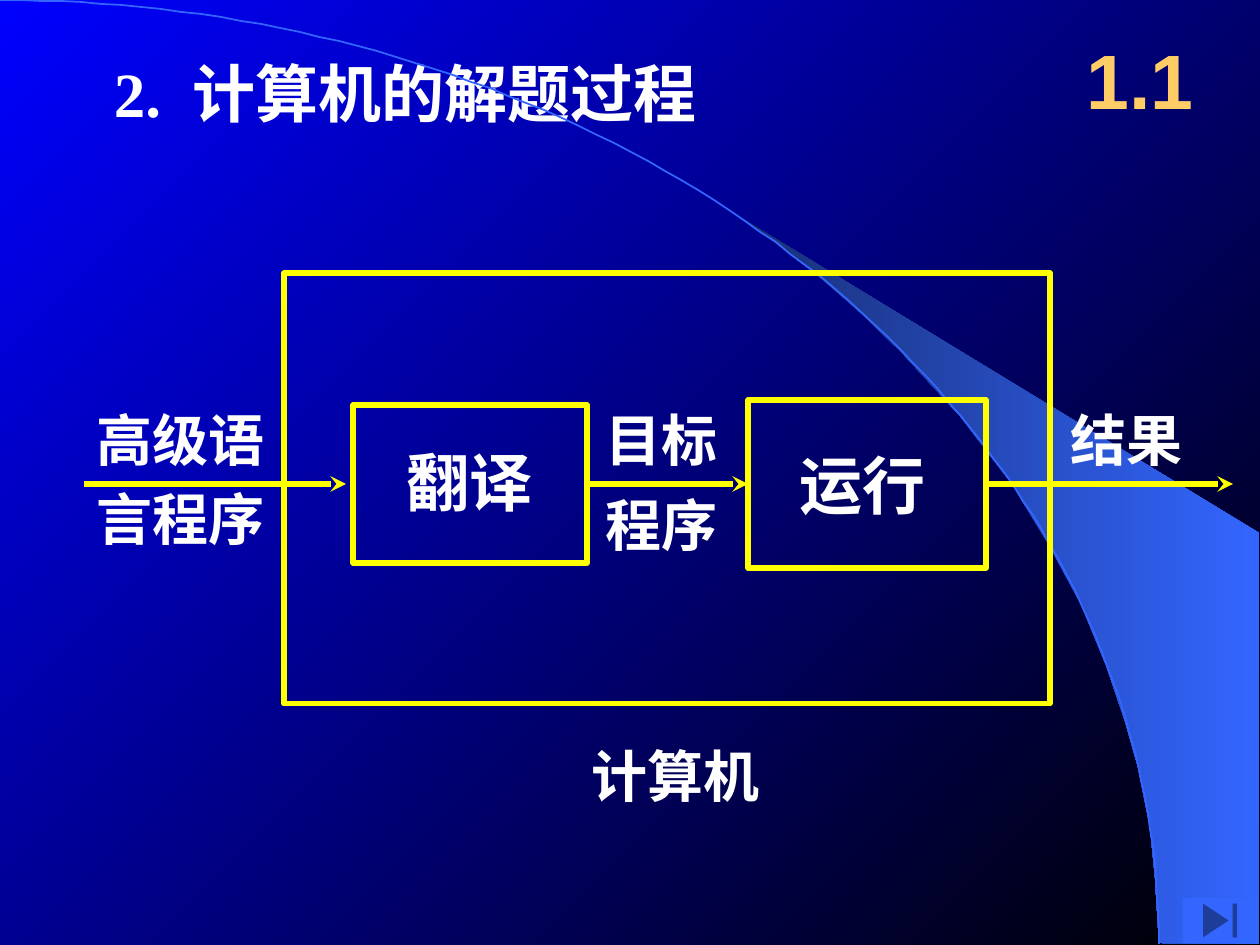
import math
import pptx
import pptx.dml.color
import pptx.enum.shapes
import pptx.enum.text
import pptx.oxml.ns
import pptx.util
from lxml import etree

# Content: all lengths in px
PX_PER_INCH = 126
SLIDE = (1260, 945)
THEME = {
    "cjk": "Noto Sans CJK SC", "serif": "Times New Roman", "sans": "Arial",
    "text": "FFFFFF", "number": "FFCC66", "line": "FFFF00", "accent": "3366FF",
    "bg": ("0000FF", "000000"), "band": ("182F76", "3366FF"),
    "label_pt": 32, "box_pt": 36, "title_pt": 36, "number_pt": 44,
    "line_pt": 3, "arc_pt": 1,
}
TITLE = ("2.", " ", "计算机的解题过程")
TITLE_BOX = (114, 54, 776, 75)
NUMBER = ("1.1", (1061, 21, 158, 116))
BOXES = {  # name: left, top, width, height
    "computer": (284, 273, 766, 431),
    "translate": (353, 405, 234, 158),
    "run": (748, 400, 238, 168),
}
LABELS = [  # text, left, top, size key
    ("计算机", 591, 741, "label_pt"),
    ("高级语", 97, 406, "label_pt"),
    ("言程序", 97, 484, "label_pt"),
    ("目标", 606, 406, "label_pt"),
    ("程序", 606, 490, "label_pt"),
    ("结果", 1071, 406, "label_pt"),
    ("翻译", 407, 444, "box_pt"),
    ("运行", 800, 447, "box_pt"),
]
FLOW_Y = 484
ARROWS = [  # from x, to x, box at start, box at end
    (84, 346, None, None),
    (587, 748, "translate", "run"),
    (986, 1233, "run", None),
]
ARC = (1159, 944)  # radii of the quarter ellipse
BAND = [(1159, 943), (1259, 944), (1259, 533), (742, 218), (786, 251),
        (823, 280), (863, 315), (902, 353), (960, 416), (1012, 484),
        (1048, 543), (1081, 604), (1106, 665), (1125, 721), (1138, 767),
        (1150, 827), (1155, 877)]
BUTTON = (1183, 898, 74, 45)

SCALE = 914400 / PX_PER_INCH
SHAPE = pptx.enum.shapes.MSO_SHAPE
ALIGN = pptx.enum.text.PP_ALIGN
ANCHOR = pptx.enum.text.MSO_ANCHOR


def px(*values):
    return [pptx.util.Emu(round(v * SCALE)) for v in values]


def rgb(key):
    return pptx.dml.color.RGBColor.from_string(THEME.get(key, key))


def set_gradient(fill, colors, angle):
    fill.gradient()
    fill.gradient_angle = angle
    for stop, color in zip(fill.gradient_stops, colors):
        stop.color.rgb = rgb(color)


def set_line(line, color, width):
    line.color.rgb = rgb(color)
    line.width = pptx.util.Pt(THEME[width])


def add_run(p, text, font, size, color="text"):
    r = p.add_run()
    r.text = text
    r.font.name = THEME[font]
    r.font.size = pptx.util.Pt(THEME[size])
    r.font.bold = True
    r.font.color.rgb = rgb(color)
    ea = etree.SubElement(r.font._element, pptx.oxml.ns.qn("a:ea"))
    ea.set("typeface", THEME["cjk"])
    return r


def set_frame(tf, anchor, align, wrap):
    tf.margin_left = tf.margin_right = tf.margin_top = tf.margin_bottom = 0
    tf.auto_size = pptx.enum.text.MSO_AUTO_SIZE.NONE
    tf.word_wrap = wrap
    tf.vertical_anchor = anchor
    tf.paragraphs[0].alignment = align
    return tf.paragraphs[0]


def add_polygon(shapes, points, close):
    builder = shapes.build_freeform(*points[0], scale=SCALE)
    builder.add_line_segments(points[1:], close=close)
    sp = builder.convert_to_shape()
    sp.shadow.inherit = False
    return sp


def add_arrow(shapes, x1, x2, start, end):
    cx = shapes.add_connector(pptx.enum.shapes.MSO_CONNECTOR.STRAIGHT,
                              *px(x1, FLOW_Y, x2, FLOW_Y))
    if start is not None:
        cx.begin_connect(start, 3)
    if end is not None:
        cx.end_connect(end, 1)
    set_line(cx.line, "line", "line_pt")
    ln = cx.line._get_or_add_ln()
    etree.SubElement(ln, pptx.oxml.ns.qn("a:tailEnd")).set("type", "stealth")
    etree.SubElement(cx._element.spPr, pptx.oxml.ns.qn("a:effectLst"))


def main():
    prs = pptx.Presentation()
    prs.slide_width, prs.slide_height = px(*SLIDE)
    s = prs.slides.add_slide(prs.slide_layouts[5])
    shapes = s.shapes

    # Background, light band and arc
    set_gradient(s.background.fill, THEME["bg"], 315)
    band = add_polygon(shapes, BAND, True)
    set_gradient(band.fill, THEME["band"], 0)
    band.line.fill.background()
    rx, ry = ARC
    angles = [math.radians(a) for a in range(0, 91)]
    arc = add_polygon(shapes, [(rx * math.sin(a), ry * (1 - math.cos(a)))
                               for a in angles], False)
    arc.fill.background()
    set_line(arc.line, "accent", "arc_pt")

    # Title and section number
    title = shapes.title
    title.left, title.top, title.width, title.height = px(*TITLE_BOX)
    p = set_frame(title.text_frame, ANCHOR.TOP, ALIGN.LEFT, True)
    runs = [add_run(p, text, "serif", "title_pt") for text in TITLE]
    runs[1].font._element.set("spc", "900")  # widen the gap after the number
    text, place = NUMBER
    sp = shapes.add_textbox(*px(*place))
    p = set_frame(sp.text_frame, ANCHOR.MIDDLE, ALIGN.CENTER, True)
    add_run(p, text, "sans", "number_pt", "number")

    # Boxes
    boxes = {}
    for name, place in BOXES.items():
        sp = boxes[name] = shapes.add_shape(SHAPE.RECTANGLE, *px(*place))
        sp.shadow.inherit = False
        sp.fill.background()
        set_line(sp.line, "line", "line_pt")

    # Arrows
    for x1, x2, start, end in ARROWS:
        add_arrow(shapes, x1, x2, boxes.get(start), boxes.get(end))

    # Labels, each as wide as its full-width characters
    for text, x, y, size in LABELS:
        em = THEME[size] * PX_PER_INCH / 72
        sp = shapes.add_textbox(*px(x, y, len(text) * em, 1.2 * em))
        p = set_frame(sp.text_frame, ANCHOR.TOP, ALIGN.LEFT, False)
        add_run(p, text, "cjk", size)

    # Button
    sp = shapes.add_shape(SHAPE.ACTION_BUTTON_END, *px(*BUTTON))
    sp.shadow.inherit = False
    sp.fill.solid()
    sp.fill.fore_color.rgb = rgb("accent")
    sp.line.fill.background()

    prs.save("out.pptx")


if __name__ == "__main__":
    main()
